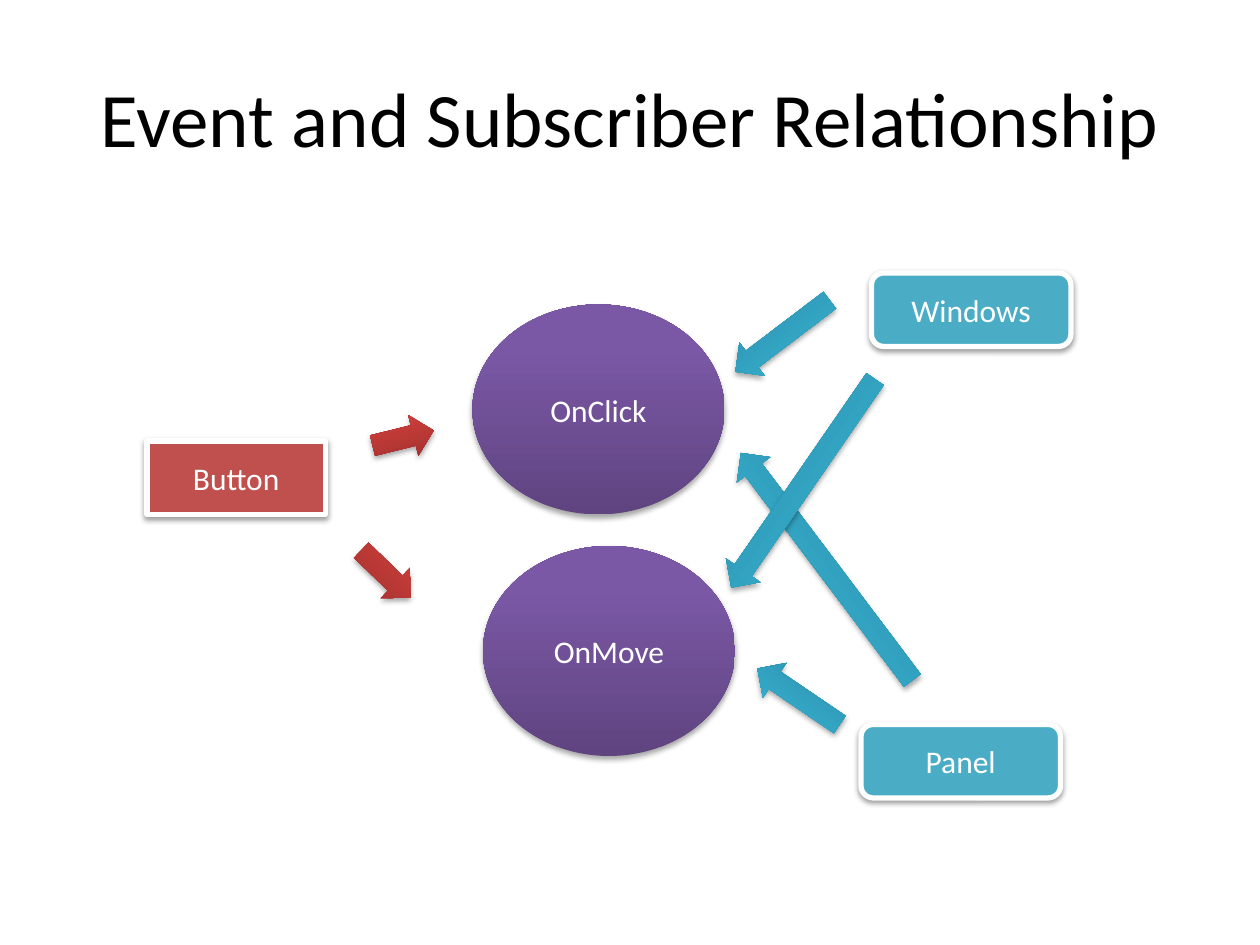
"""Build a slide that relates events to their subscribers."""
from copy import deepcopy
from dataclasses import dataclass

from lxml import etree
from pptx import Presentation
from pptx.dml.color import RGBColor
from pptx.enum.shapes import MSO_SHAPE
from pptx.enum.text import MSO_ANCHOR, PP_ALIGN
from pptx.oxml.ns import qn
from pptx.util import Pt

RECT = MSO_SHAPE.RECTANGLE
ROUND = MSO_SHAPE.ROUNDED_RECTANGLE
OVAL = MSO_SHAPE.OVAL
ARROW = MSO_SHAPE.RIGHT_ARROW
MIDDLE = MSO_ANCHOR.MIDDLE
CENTER = PP_ALIGN.CENTER


@dataclass(frozen=True)
class Theme:
    font: str = "Calibri"
    title: int = 44
    label: int = 18
    black: str = "000000"
    white: str = "FFFFFF"
    source: str = "C0504D"
    target: str = "4BACC6"
    event: tuple = ("5F4480", "7B58A6", "7C57A8")
    red: tuple = ("9C2F2D", "CB3E3A", "CE3B37")
    teal: tuple = ("2A88A2", "37B1D2", "34B4D6")
    stops: tuple = (0, 0.8, 1)


@dataclass(frozen=True)
class Kind:
    form: int
    width: float
    height: float
    paint: str | tuple


@dataclass(frozen=True)
class Node:
    kind: Kind
    text: str
    left: float
    top: float


@dataclass(frozen=True)
class Arrow:
    paint: tuple
    left: float
    top: float
    width: float
    turn: float


THEME = Theme()
EVENT = Kind(OVAL, 144, 120, THEME.event)
SOURCE = Kind(RECT, 102, 42, THEME.source)
TARGET = Kind(ROUND, 114, 42, THEME.target)
THICK = 24

ITEMS = (
    Node(EVENT, "OnClick", 270, 174),
    Node(TARGET, "Panel", 492, 414),
    Arrow(THEME.red, 201, 316, 39, 44),
    Arrow(THEME.teal, 427.8, 386, 57, 214.2),
    Node(TARGET, "Windows", 498, 156),
    Arrow(THEME.teal, 413.3, 180, 67.7, 142.8),
    Node(SOURCE, "Button", 84, 252),
    Arrow(THEME.red, 212.4, 238.3, 36, 346.1),
    Arrow(THEME.teal, 391, 311.8, 162.7, 233),
    Arrow(THEME.teal, 386.6, 264.2, 144.7, 124.6),
    Node(EVENT, "OnMove", 276, 312),
)


def apply(target, values: dict) -> None:
    """Set each named value on the target."""
    for name, value in values.items():
        setattr(target, name, value)


def write(shape, text: str, size: int, color: str) -> None:
    """Put centred text in a shape."""
    frame = shape.text_frame
    frame.text = text
    apply(frame, {"word_wrap": True, "vertical_anchor": MIDDLE})
    para = frame.paragraphs[0]
    para.alignment = CENTER
    font = para.runs[0].font
    apply(font, {"name": THEME.font, "size": Pt(size)})
    font.color.rgb = RGBColor.from_string(color)


def shade(shape, alpha: int, dist: float) -> None:
    """Cast a soft shadow straight down."""
    shape.shadow.inherit = False
    props = shape._element.spPr
    values = {"blurRad": Pt(3.15), "dist": Pt(dist), "dir": 5400000, "rotWithShape": 0}
    cast = etree.SubElement(props.find(qn("a:effectLst")), qn("a:outerShdw"),
                            {name: str(int(value)) for name, value in values.items()})
    color = etree.SubElement(cast, qn("a:srgbClr"), val=THEME.black)
    etree.SubElement(color, qn("a:alpha"), val=str(alpha * 1000))


def blend(shape, colors: tuple) -> None:
    """Fill a shape with a three-stop blend that rises from its base."""
    fill = shape.fill
    fill.gradient()
    fill.gradient_angle = 90
    stops = shape._element.spPr.find(".//" + qn("a:gsLst"))
    stops.append(deepcopy(stops[-1]))
    for stop, place, color in zip(fill.gradient_stops, THEME.stops, colors):
        stop.position = place
        stop.color.rgb = RGBColor.from_string(color)


def paint(shape, look: str | tuple) -> None:
    """Give a shape a blend, or a flat fill with a white edge."""
    if isinstance(look, tuple):
        blend(shape, look)
        shape.line.fill.background()
        shade(shape, 35, 1.8)
    else:
        shape.fill.solid()
        shape.fill.fore_color.rgb = RGBColor.from_string(look)
        shape.line.color.rgb = RGBColor.from_string(THEME.white)
        shape.line.width = Pt(3)
        shade(shape, 38, 1.6)


def draw_node(slide, node: Node) -> None:
    """Draw a labelled event, source or subscriber."""
    kind = node.kind
    shape = slide.shapes.add_shape(
        kind.form, Pt(node.left), Pt(node.top), Pt(kind.width), Pt(kind.height))
    paint(shape, kind.paint)
    write(shape, node.text, THEME.label, THEME.white)


def draw_arrow(slide, arrow: Arrow) -> None:
    """Draw a turned block arrow."""
    shape = slide.shapes.add_shape(
        ARROW, Pt(arrow.left), Pt(arrow.top), Pt(arrow.width), Pt(THICK))
    shape.rotation = arrow.turn
    paint(shape, arrow.paint)


def main() -> None:
    """Build and save the slide."""
    deck = Presentation()
    apply(deck, {"slide_width": Pt(720), "slide_height": Pt(540)})
    slide = deck.slides.add_slide(deck.slide_layouts[5])
    title = slide.shapes.title
    apply(title, {"left": Pt(36), "top": Pt(21.6), "width": Pt(648), "height": Pt(90)})
    write(title, "Event and Subscriber Relationship", THEME.title, THEME.black)
    for item in ITEMS:
        draw = draw_node if isinstance(item, Node) else draw_arrow
        draw(slide, item)
    deck.save("out.pptx")


if __name__ == "__main__":
    main()
